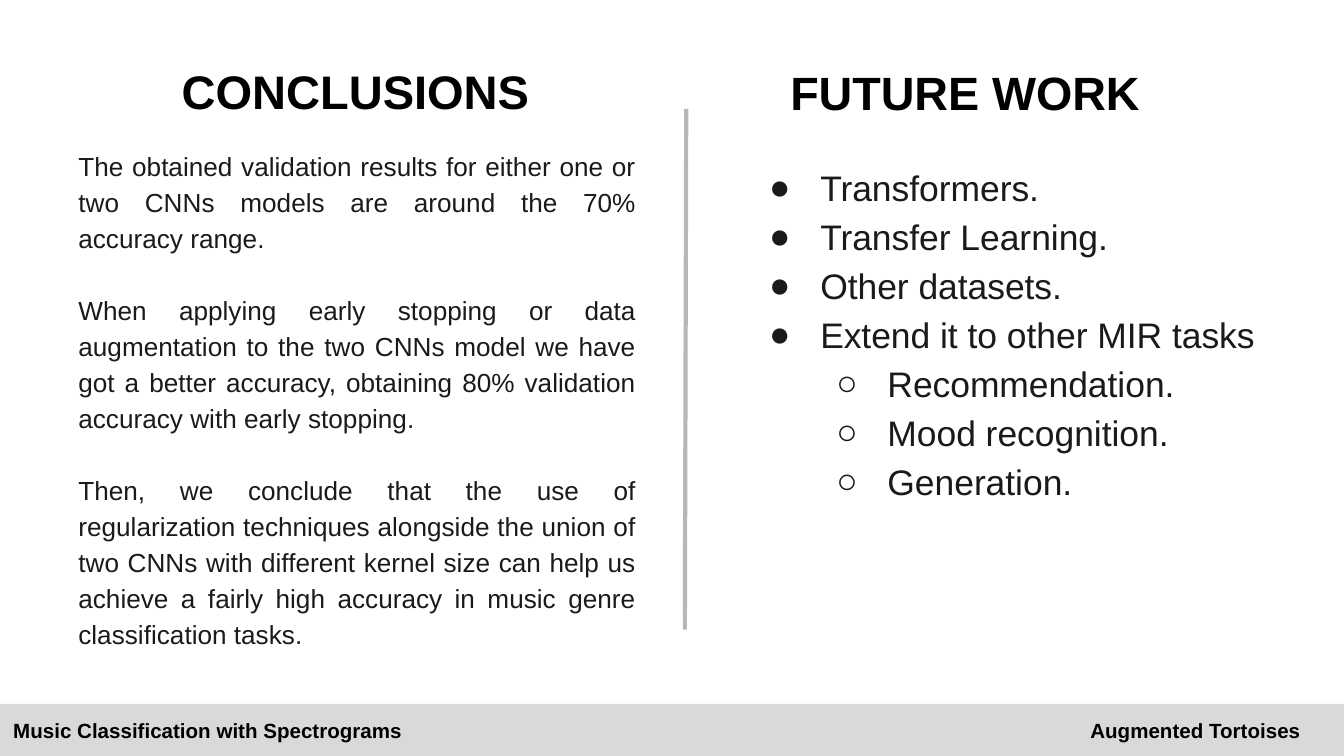
from dataclasses import dataclass

from lxml import etree
from pptx import Presentation
from pptx import util as u
from pptx.dml.color import RGBColor
from pptx.enum import shapes, text
from pptx.oxml.ns import qn

WIDTH = u.Inches(10)
HEIGHT = WIDTH * 9 // 16
BLACK, INK, BAND, RULE = "000000", "181A1C", "D9D9D9", "B7B7B7"
BULLETS = "●○"


@dataclass(frozen=True)
class Area:
    """Shares of the slide, in percent."""
    left: float
    top: float
    width: float
    height: float

    def box(self) -> tuple:
        return (across(self.left), down(self.top),
                across(self.width), down(self.height))


@dataclass(frozen=True)
class Line:
    words: str
    level: int = 0


CONCLUSIONS = [
    Line("The obtained validation results for either one or two CNNs models "
         "are around the 70% accuracy range."),
    Line("When applying early stopping or data augmentation to the two CNNs "
         "model we have got a better accuracy, obtaining 80% validation "
         "accuracy with early stopping."),
    Line("Then, we conclude that the use of regularization techniques "
         "alongside the union of two CNNs with different kernel size can help "
         "us achieve a fairly high accuracy in music genre classification "
         "tasks."),
]
FUTURE_WORK = [
    Line("Transformers."),
    Line("Transfer Learning."),
    Line("Other datasets."),
    Line("Extend it to other MIR tasks"),
    Line("Recommendation.", 1),
    Line("Mood recognition.", 1),
    Line("Generation.", 1),
]


def across(percent: float) -> int:
    return round(WIDTH * percent / 100)


def down(percent: float) -> int:
    return round(HEIGHT * percent / 100)


def colour(value: str) -> RGBColor:
    return RGBColor.from_string(value)


def place(shape, area: Area) -> None:
    shape.left, shape.top, shape.width, shape.height = area.box()


def add_marker(properties, level: int, hue: str) -> None:
    bullet_colour = etree.SubElement(properties, qn("a:buClr"))
    etree.SubElement(bullet_colour, qn("a:srgbClr"), val=hue)
    etree.SubElement(properties, qn("a:buFont"), typeface="Arial")
    etree.SubElement(properties, qn("a:buChar"), char=BULLETS[level])


def write(shape, lines: list[Line], *, size: float, hue: str = BLACK,
          bold: bool = False, align=text.PP_ALIGN.LEFT,
          anchor=text.MSO_ANCHOR.TOP, spacing: float = 1.0, gap: float = 0,
          bulleted: bool = False) -> None:
    frame = shape.text_frame
    frame.word_wrap = True
    frame.auto_size = text.MSO_AUTO_SIZE.NONE
    frame.vertical_anchor = anchor
    frame.margin_left = frame.margin_right = u.Inches(0.1)
    frame.margin_top = frame.margin_bottom = u.Inches(0.1)
    for number, line in enumerate(lines):
        paragraph = frame.add_paragraph() if number else frame.paragraphs[0]
        paragraph.level = line.level
        paragraph.alignment = align
        paragraph.line_spacing = spacing
        paragraph.space_before = u.Pt(gap if number else 0)
        paragraph.space_after = u.Pt(0)
        properties = paragraph._p.get_or_add_pPr()
        indent = u.Inches(0.5 * (line.level + 1)) if bulleted else 0
        properties.set("marL", str(indent))
        properties.set("indent", str(u.Inches(-0.38) if bulleted else 0))
        if bulleted:
            add_marker(properties, line.level, hue)
        else:
            etree.SubElement(properties, qn("a:buNone"))
        run = paragraph.add_run()
        run.text = line.words
        run.font.name = "Arial"
        run.font.size = u.Pt(size)
        run.font.bold = bold
        run.font.color.rgb = colour(hue)


def add_footer(slide, left: str, right: str) -> None:
    top, height = 93.1, 6.9
    band = slide.shapes.add_shape(shapes.MSO_SHAPE.RECTANGLE,
                                  *Area(0, top, 100, height).box())
    band.shadow.inherit = False
    band.fill.solid()
    band.fill.fore_color.rgb = colour(BAND)
    band.line.fill.background()
    team = slide.shapes.add_textbox(*Area(70, top, 27.75, height).box())
    for shape, words, align in ((band, left, text.PP_ALIGN.LEFT),
                                (team, right, text.PP_ALIGN.RIGHT)):
        write(shape, [Line(words)], size=11, bold=True, align=align,
              anchor=text.MSO_ANCHOR.MIDDLE)


def add_divider(slide) -> None:
    divider = slide.shapes.add_connector(
        shapes.MSO_CONNECTOR.STRAIGHT,
        across(51.06), down(14.4), across(50.96), down(83.3))
    divider.line.color.rgb = colour(RULE)
    divider.line.width = u.Pt(2.25)
    etree.SubElement(divider._element.spPr, qn("a:effectLst"))


def main() -> None:
    presentation = Presentation()
    presentation.slide_width, presentation.slide_height = WIDTH, HEIGHT
    slide = presentation.slides.add_slide(presentation.slide_layouts[4])
    holders = {holder.placeholder_format.idx: holder
               for holder in slide.placeholders}
    title, heading, conclusions, unused, future = (
        holders[index] for index in range(5))
    unused._element.getparent().remove(unused._element)

    place(title, Area(5.9, 6.4, 41.1, 11.2))
    write(title, [Line("CONCLUSIONS")], size=25.2, bold=True,
          align=text.PP_ALIGN.CENTER, anchor=text.MSO_ANCHOR.MIDDLE)
    place(conclusions, Area(4.83, 17.45, 43.5, 63.9))
    write(conclusions, CONCLUSIONS, size=14, hue=INK, spacing=1.15,
          gap=19.3, align=text.PP_ALIGN.JUSTIFY)
    place(heading, Area(57.8, 7.2, 30.9, 9.3))
    write(heading, [Line("FUTURE WORK")], size=25, bold=True, spacing=0.95)
    place(future, Area(55.03, 19.4, 39.5, 48.6))
    write(future, FUTURE_WORK, size=19, hue=INK, spacing=1.15,
          align=text.PP_ALIGN.JUSTIFY, bulleted=True)
    add_footer(slide, "Music Classification with Spectrograms",
               "Augmented Tortoises")
    add_divider(slide)
    presentation.save("out.pptx")


if __name__ == "__main__":
    main()
